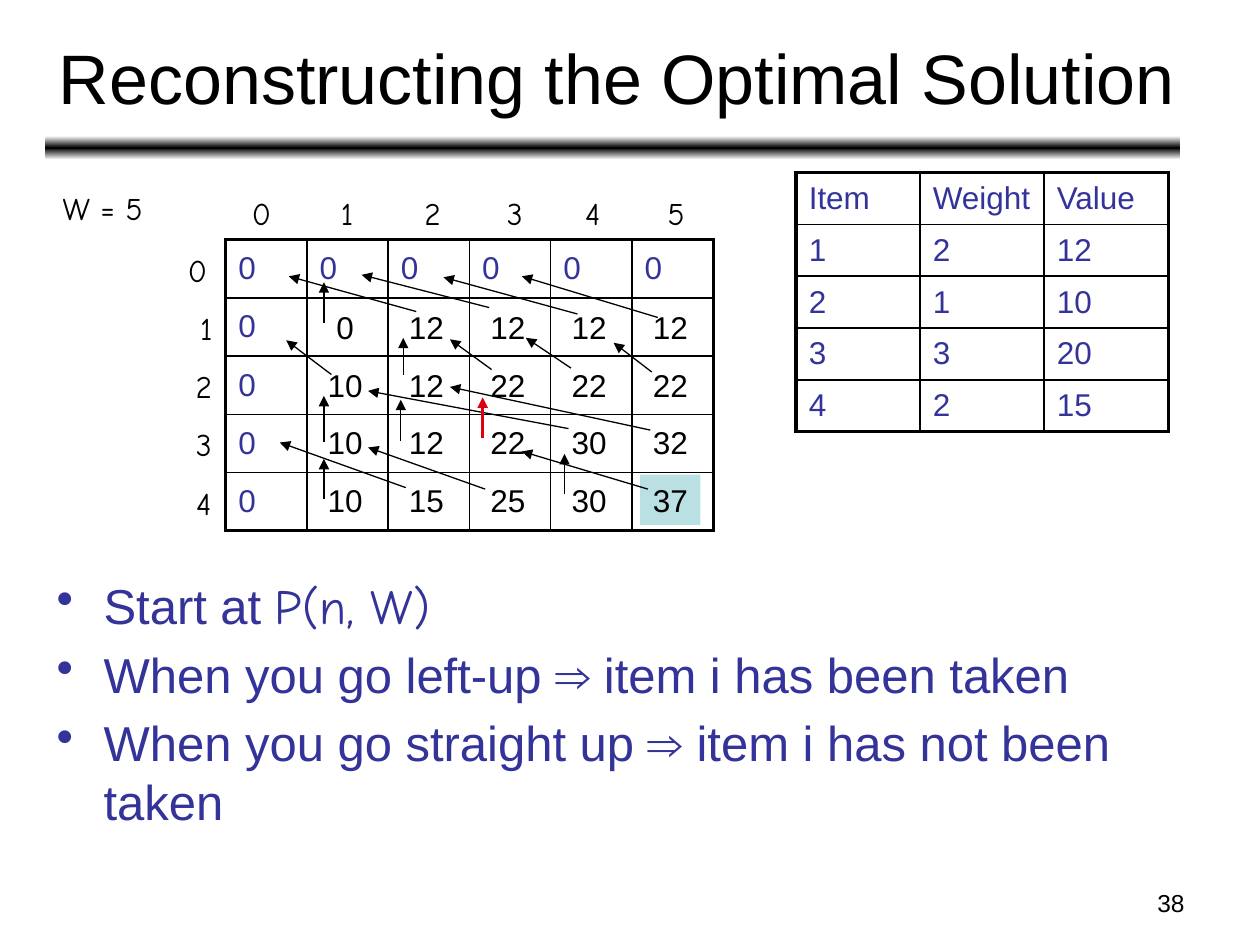
import copy
import pptx
import pptx.util
import pptx.dml.color
import pptx.enum.shapes
import pptx.enum.text
import pptx.oxml
import pptx.oxml.ns

Cm = pptx.util.Cm
Pt = pptx.util.Pt
Align = pptx.enum.text.PP_ALIGN
Anchor = pptx.enum.text.MSO_ANCHOR
Shape = pptx.enum.shapes.MSO_SHAPE
qn = pptx.oxml.ns.qn

COLORS = {"ink": "000000", "blue": "333399", "paper": "FFFFFF",
          "mark": "BBE0E3", "red": "DD0111"}
SANS = "Arial"
HAND = "Comic Neue"

COSTS = [["0", "12", "12", "12", "12"],
         ["10", "12", "22", "22", "22"],
         ["10", "12", "22", "30", "32"],
         ["10", "15", "25", "30", "37"]]
ITEMS = [["Item", "Weight", "Value"], ["1", "2", "12"], ["2", "1", "10"],
         ["3", "3", "20"], ["4", "2", "15"]]
HEADS = [0.72, 2.45, 4.17, 5.83, 7.4, 9.08]
SIDES = [-0.57, -0.39, -0.44, -0.44, -0.44]
MOVES = [(3.84, 1.45, 1.27, 0.74), (5.31, 1.37, 2.74, 0.71),
         (7.09, 1.5, 4.39, 0.76), (8.71, 1.57, 5.97, 0.74),
         (2.13, 2.72, 1.22, 2.03), (3.58, 2.72, 3.58, 1.98),
         (5.36, 2.62, 4.52, 2.01), (6.96, 2.59, 6.05, 1.98),
         (8.59, 2.67, 7.82, 2.08), (1.98, 4.09, 1.98, 3.15),
         (3.53, 4.06, 3.53, 3.23), (6.91, 3.81, 2.87, 3.05),
         (8.56, 3.84, 4.52, 2.97), (1.98, 5.23, 1.98, 4.42),
         (3.63, 5, 1.09, 4.09), (5.23, 5.03, 2.87, 4.19),
         (6.83, 5.13, 6.83, 4.32), (8.51, 5.03, 5.97, 4.27),
         (1.98, 1.68, 1.98, 0.86)]
BULLETS = [[("Start at ", SANS), ("P(n, W)", HAND)],
           [("When you go left-up ⇒ item i has been taken", SANS)],
           [("When you go straight up ⇒ item i has not been taken", SANS)]]


def tint(name):
    return pptx.dml.color.RGBColor.from_string(COLORS[name])


def style(font, size, face, color):
    font.size = Pt(size)
    font.name = face
    font.color.rgb = tint(color)


def add_text(slide, box, text, size=18, face=SANS, align=Align.CENTER,
             wrap=False, fill=None):
    shape = slide.shapes.add_textbox(*map(Cm, box))
    if fill:
        shape.fill.solid()
        shape.fill.fore_color.rgb = tint(fill)
    frame = shape.text_frame
    frame.text = text
    frame.word_wrap = wrap
    para = frame.paragraphs[0]
    para.alignment = align
    style(para.runs[0].font, size, face, "ink")
    return frame


def add_arrow(slide, ends, color="ink", width=0.75):
    line = slide.shapes.add_connector(
        pptx.enum.shapes.MSO_CONNECTOR.STRAIGHT, *map(Cm, ends))
    line.line.color.rgb = tint(color)
    line.line.width = Pt(width)
    tip = line.line._get_or_add_ln().makeelement(qn("a:tailEnd"), {"type": "triangle"})
    line.line._get_or_add_ln().append(tip)
    props = line._element.spPr
    props.append(props.makeelement(qn("a:effectLst"), {}))


def add_edges(cell, wide):
    props = cell._tc.get_or_add_tcPr()
    for spot, (side, bold) in enumerate(zip("LRTB", wide)):
        width = Pt(2.25 if bold else 1)
        edge = pptx.oxml.parse_xml(
            f'<a:ln{side} {pptx.oxml.ns.nsdecls("a")} w="{int(width)}">'
            f'<a:solidFill><a:srgbClr val="{COLORS["ink"]}"/></a:solidFill>'
            f'</a:ln{side}>')
        props.insert(spot, edge)


def add_grid(slide, box, rows, fill=None):
    left, top, width, height = box
    high, wide = len(rows), len(rows[0])
    table = slide.shapes.add_table(high, wide, *map(Cm, box)).table
    table.first_row = False
    table.horz_banding = False
    for col in table.columns:
        col.width = Cm(width / wide)
    for i, row in enumerate(rows):
        table.rows[i].height = Cm(height / high)
        for j, text in enumerate(row):
            cell = table.cell(i, j)
            cell.vertical_anchor = Anchor.MIDDLE
            if fill:
                cell.fill.solid()
                cell.fill.fore_color.rgb = tint(fill)
            else:
                cell.fill.background()
            add_edges(cell, (j == 0, j == wide - 1, i == 0, i == high - 1))
            cell.text_frame.text = text
            style(cell.text_frame.paragraphs[0].font, 18, SANS, "blue")


def add_head(slide, box):
    left, top, width, height = box
    bar = slide.shapes.add_shape(Shape.ROUNDED_RECTANGLE, Cm(left), Cm(top + 2.46),
                                 Cm(22.89), Cm(0.48))
    bar.shadow.inherit = False
    bar.line.fill.background()
    bar.fill.gradient()
    bar.fill.gradient_angle = 90
    stops = bar.fill.gradient_stops
    first = stops[0]._gs
    first.addnext(copy.deepcopy(first))
    for stop, (place, color) in zip(bar.fill.gradient_stops,
                                    [(0, "paper"), (0.5, "ink"), (1, "paper")]):
        stop.position = place
        stop.color.rgb = tint(color)
    frame = add_text(slide, (left + 0.03, top, width, height),
                     "Reconstructing the Optimal Solution", 40,
                     align=Align.LEFT, wrap=True)
    frame.vertical_anchor = Anchor.MIDDLE


def add_matrix(slide, box):
    left, top, width, height = box
    add_grid(slide, box, [["0"] * 6] + [["0"] + [""] * 5] * 4)
    for j, mid in enumerate(HEADS):
        add_text(slide, (left + mid - 0.45, top - 1.04, 0.9, 1.02), str(j), face=HAND)
    for i, mid in enumerate(SIDES):
        add_text(slide, (left + mid - 0.45, top + 0.1 + i * height / 5, 0.9, 1.02),
                 str(i), face=HAND)
    for i, row in enumerate(COSTS):
        for j, cost in enumerate(row):
            last = (i, j) == (3, 4)
            add_text(slide, (left + 1.8 + j * width / 6, top + 1.26 + i * 1.16,
                             1.22, 1.02), cost, fill="mark" if last else None)
    for x, y, to_x, to_y in MOVES:
        add_arrow(slide, (left + x, top + y, left + to_x, top + to_y))
    add_arrow(slide, (left + 5.18, top + 3.99, left + 5.18, top + 3.18), "red", 2)


def add_list(slide, box):
    frame = slide.shapes.add_textbox(*map(Cm, box)).text_frame
    frame.word_wrap = True
    for i, parts in enumerate(BULLETS):
        para = frame.paragraphs[0] if i == 0 else frame.add_paragraph()
        props = para._p.get_or_add_pPr()
        props.set("marL", str(int(Cm(0.95))))
        props.set("indent", str(int(Cm(-0.95))))
        paint = props.makeelement(qn("a:buClr"), {})
        paint.append(paint.makeelement(qn("a:srgbClr"), {"val": COLORS["blue"]}))
        props.append(paint)
        props.append(props.makeelement(qn("a:buChar"), {"char": "•"}))
        if i:
            para.space_before = Pt(5.6)
        for text, face in parts:
            run = para.add_run()
            run.text = text
            style(run.font, 28, face, "blue")


def main():
    deck = pptx.Presentation()
    deck.slide_width = Cm(25.4)
    deck.slide_height = Cm(19.05)
    slide = deck.slides.add_slide(deck.slide_layouts[6])
    add_head(slide, (0.91, 0.28, 23.5, 2.51))
    add_text(slide, (18.21, 17.78, 5.92, 0.89), "38", 14, align=Align.RIGHT, wrap=True)
    add_matrix(slide, (4.55, 4.83, 9.83, 5.87))
    add_list(slide, (0.89, 11.48, 22.86, 6.35))
    add_grid(slide, (16.05, 3.48, 7.5, 5.22), ITEMS, "paper")
    add_text(slide, (0.94, 3.68, 2.26, 1.02), "W = 5", face=HAND)
    deck.save("out.pptx")


if __name__ == "__main__":
    main()
